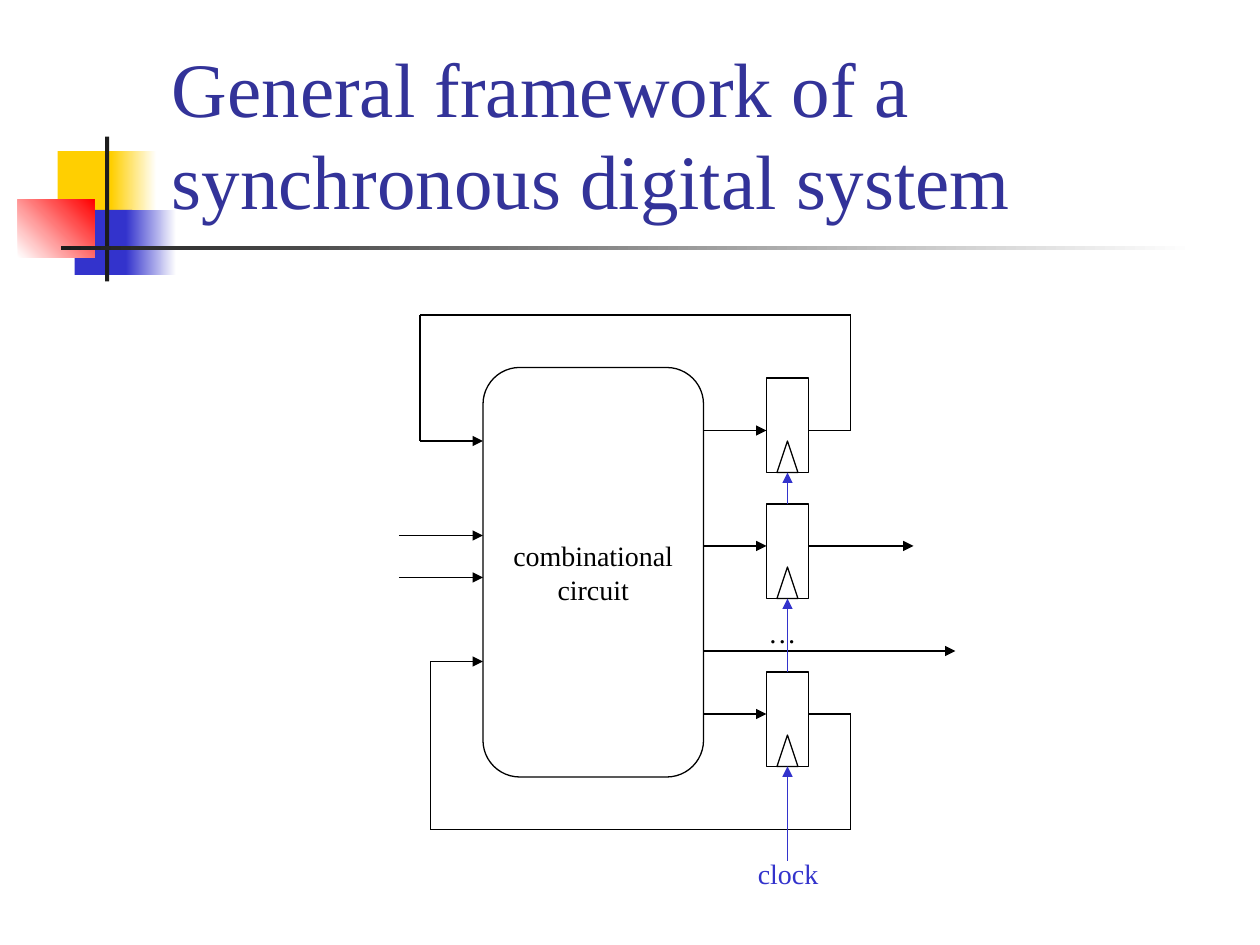
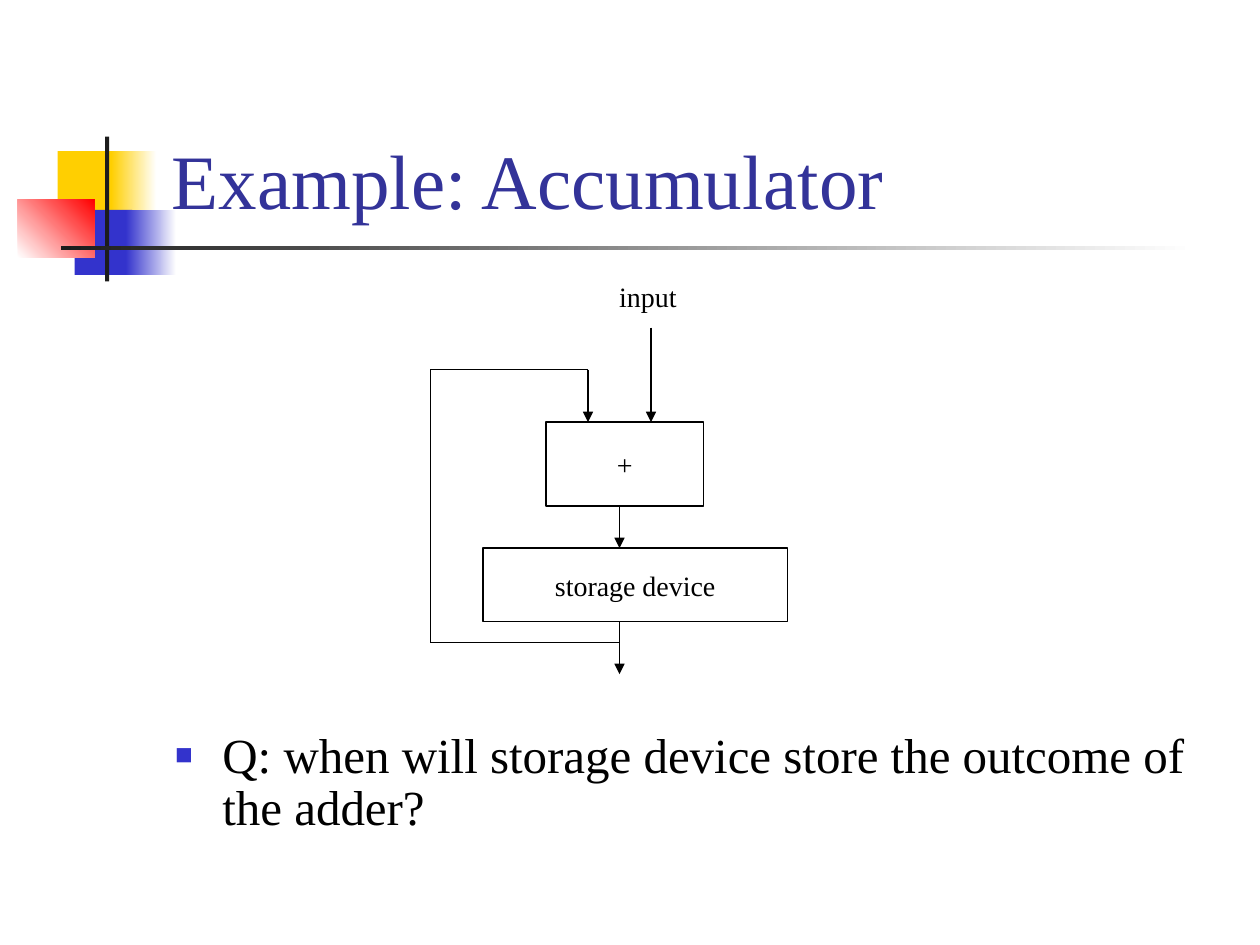
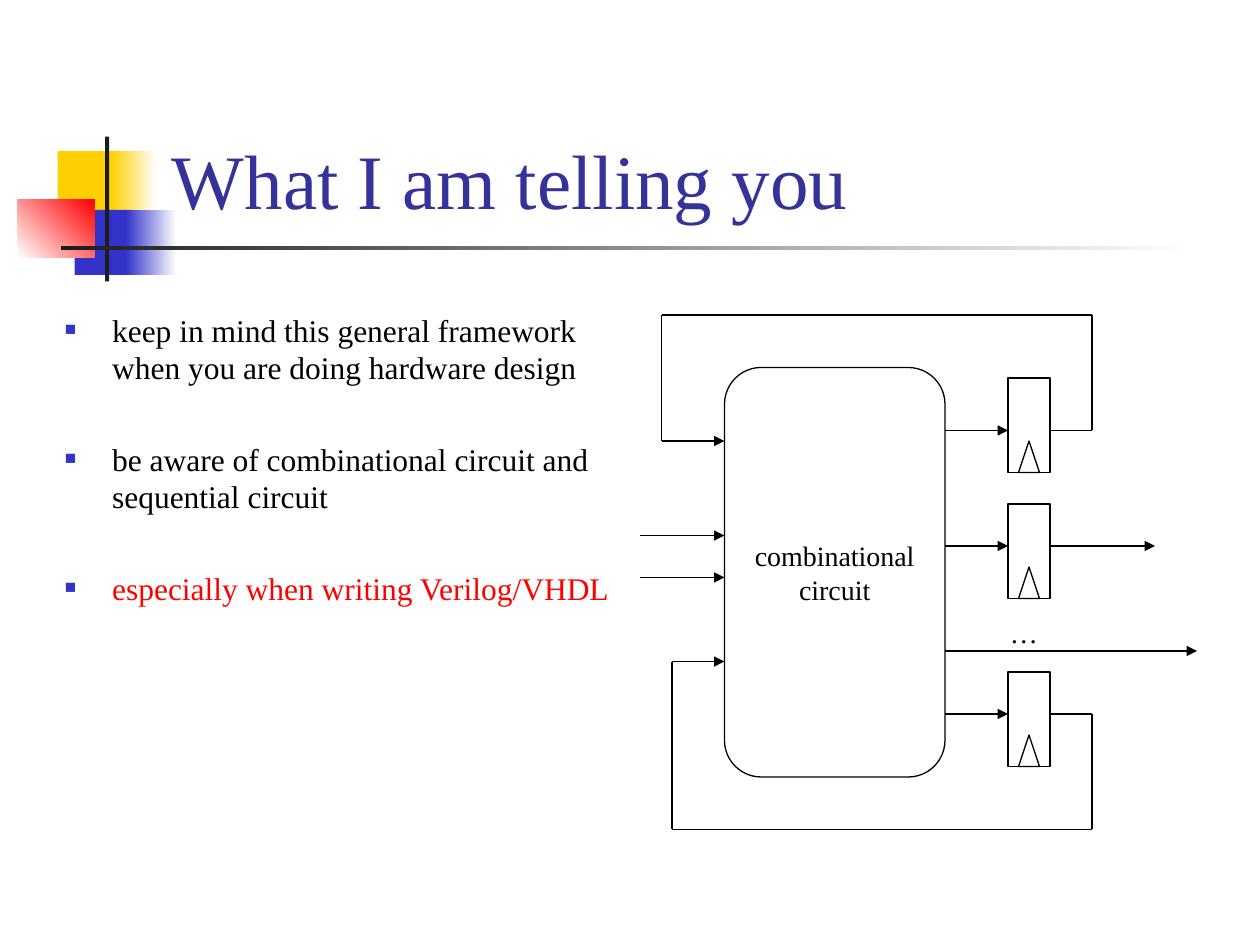
from lxml import etree
from pptx import Presentation
from pptx import util as u
from pptx.dml.color import RGBColor
from pptx.enum import shapes, text
from pptx.oxml import ns

PX = 7620  # EMU in one px, 120 px to the inch
FONT = "Times New Roman"
COLORS = {
    "title": "333399",
    "text": "000000",
    "alert": "FF0000",
    "yellow": "FFCF01",
    "blue": "3333CC",
    "red": "FF0000",
    "bar": "1C1C1C",
    "white": "FFFFFF",
}
BOX = shapes.MSO_SHAPE.RECTANGLE
REGISTER_TOPS = (360, 480, 640)
LEFT, CENTER = text.PP_ALIGN.LEFT, text.PP_ALIGN.CENTER
TOP, MIDDLE, BOTTOM = (text.MSO_ANCHOR.TOP, text.MSO_ANCHOR.MIDDLE,
                       text.MSO_ANCHOR.BOTTOM)


def px(*lengths):
    return [u.Emu(n * PX) for n in lengths]


def rgb(name):
    return RGBColor.from_string(COLORS[name])


def sub(parent, tag, **attrs):
    return etree.SubElement(parent, ns.qn(tag), attrs)


def add_bullet(p):
    pPr = p._p.get_or_add_pPr()
    indent = 45 * PX
    pPr.set("marL", str(indent))
    pPr.set("indent", str(-indent))
    sub(sub(pPr, "a:buClr"), "a:srgbClr", val=COLORS["blue"])
    sub(pPr, "a:buSzPct", val="60000")
    sub(pPr, "a:buFont", typeface=FONT)
    sub(pPr, "a:buChar", char="■")


def write(tf, lines, size=16, color="text", align=LEFT, anchor=TOP,
          wrap=False, bullet=False, spacing=None, gap=0):
    """Fill a text frame; a line is a string or a (string, color) pair."""
    tf.word_wrap = wrap
    tf.vertical_anchor = anchor
    for i, line in enumerate(lines):
        words, ink = (line, color) if isinstance(line, str) else line
        p = tf.add_paragraph() if i else tf.paragraphs[0]
        if bullet:
            add_bullet(p)
        p.alignment = align
        if spacing:
            p.line_spacing = spacing
        if i and gap:
            p.space_before = u.Pt(gap)
        r = p.add_run()
        r.text = words
        r.font.name = FONT
        r.font.size = u.Pt(size)
        r.font.color.rgb = rgb(ink)


def add_label(s, box, *lines, **fmt):
    write(s.shapes.add_textbox(*px(*box)).text_frame, lines, **fmt)


def add_band(s, box, start, end=None, angle=0):
    """Draw a borderless block, plain or fading from start to end."""
    sp = s.shapes.add_shape(BOX, *px(*box))
    sp.shadow.inherit = False
    sp.line.fill.background()
    if end is None:
        sp.fill.solid()
        sp.fill.fore_color.rgb = rgb(start)
        return
    sp.fill.gradient()
    sp.fill.gradient_angle = angle
    for stop, name in zip(sp.fill.gradient_stops, (start, end)):
        stop.color.rgb = rgb(name)


def add_outline(s, kind, box, *lines):
    sp = s.shapes.add_shape(kind, *px(*box))
    sp.shadow.inherit = False
    sp.fill.background()
    sp.line.color.rgb = rgb("text")
    sp.line.width = u.Pt(0.75)
    if lines:
        write(sp.text_frame, lines, align=CENTER, anchor=MIDDLE)
    return sp


def add_wire(s, *points, arrow=True, color="text"):
    """Join the points by straight lines, with an arrowhead on the last."""
    for start, end in zip(points, points[1:]):
        line = s.shapes.add_connector(
            shapes.MSO_CONNECTOR.STRAIGHT, *px(*start, *end))
        line.line.color.rgb = rgb(color)
        line.line.width = u.Pt(0.75)
        sub(line._element.spPr, "a:effectLst")
    if arrow:
        sub(line.line._get_or_add_ln(), "a:tailEnd", type="triangle")
    return line


def add_slide(prs, title):
    s = prs.slides.add_slide(prs.slide_layouts[6])
    add_band(s, (55, 144, 58, 62), "yellow")
    add_band(s, (106, 144, 43, 62), "yellow", "white")
    add_band(s, (71, 200, 55, 62), "blue")
    add_band(s, (120, 200, 48, 62), "blue", "white")
    add_band(s, (17, 190, 73, 55), "white", "red", angle=45)
    add_band(s, (100, 130, 4, 138), "bar")
    add_band(s, (58, 234, 1080, 4), "bar", "white")
    add_label(s, (152, 28, 1022, 192), title, size=44, color="title",
              anchor=BOTTOM, wrap=True)
    return s


def add_register(s, x, y):
    register = add_outline(s, BOX, (x, y, 40, 90))
    add_outline(s, shapes.MSO_SHAPE.ISOSCELES_TRIANGLE,
                (x + 10, y + 60, 20, 30))
    return register


def add_framework(s, left):
    """Draw the synchronous system and return its registers, top to bottom."""
    right = left + 210
    reg_left, reg_right = right + 60, right + 100
    bend = reg_right + 40
    add_outline(s, shapes.MSO_SHAPE.ROUNDED_RECTANGLE,
                (left, 350, 210, 390), "combinational", "circuit")
    registers = [add_register(s, reg_left, y) for y in REGISTER_TOPS]
    add_label(s, (reg_left - 10, 580, 50, 44), "…")

    for y in (410, 520, 680):
        add_wire(s, (right, y), (reg_left, y))
    for y_out, y_turn, y_in, x in ((410, 300, 420, left - 60),
                                   (680, 790, 630, left - 50)):
        add_wire(s, (reg_right, y_out), (bend, y_out), (bend, y_turn),
                 (x, y_turn), (x, y_in), (left, y_in))
    add_wire(s, (reg_right, 520), (reg_right + 100, 520))
    add_wire(s, (right, 620), (right + 240, 620))
    for y in (510, 550):
        add_wire(s, (left - 80, y), (left, y))
    return registers


def add_clock(s, registers):
    x = 750
    starts = (*REGISTER_TOPS[1:], 820)
    sources = (*registers[1:], None)
    for top, start, register, source in zip(
            REGISTER_TOPS, starts, registers, sources):
        line = add_wire(s, (x, start), (x, top + 90), color="blue")
        if source is not None:
            line.begin_connect(source, 0)
        line.end_connect(register, 2)
    add_label(s, (710, 810, 86, 44), "clock", color="blue")


def add_accumulator(s):
    add_outline(s, BOX, (460, 522, 290, 70), "storage device")
    add_outline(s, BOX, (520, 402, 150, 80), "+")
    add_wire(s, (620, 312), (620, 402))
    add_wire(s, (590, 592), (590, 642))
    add_wire(s, (590, 612), (410, 612), (410, 352), (560, 352), (560, 402),
             )
    add_wire(s, (590, 482), (590, 522))
    add_label(s, (578, 260, 86, 44), "input")


def main():
    prs = Presentation()
    prs.slide_width, prs.slide_height = px(1200, 900)

    s = add_slide(prs, "General framework of a synchronous digital system")
    add_clock(s, add_framework(s, 460))

    s = add_slide(prs, "Example: Accumulator")
    add_label(s, (155, 690, 1020, 115),
              "Q: when will storage device store the outcome of the adder?",
              size=28, wrap=True, bullet=True, spacing=0.9)
    add_accumulator(s)

    s = add_slide(prs, "What I am telling you")
    add_label(s, (50, 290, 550, 540),
              "keep in mind this general framework when you are doing "
              "hardware design",
              "be aware of combinational circuit and sequential circuit",
              ("especially when writing Verilog/VHDL", "alert"),
              size=18, wrap=True, bullet=True, gap=30.5)
    add_framework(s, 690)

    prs.save("out.pptx")


if __name__ == "__main__":
    main()
